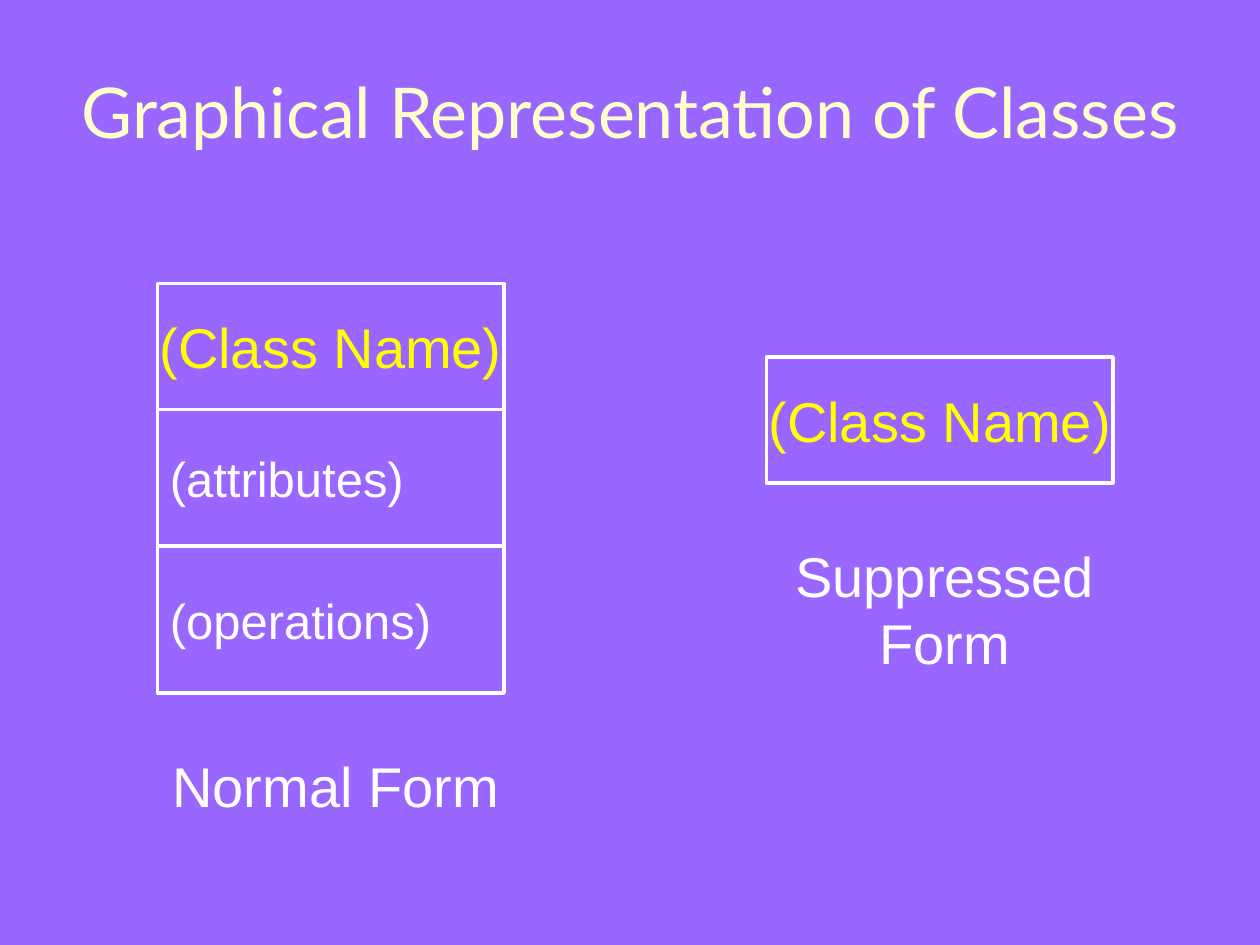
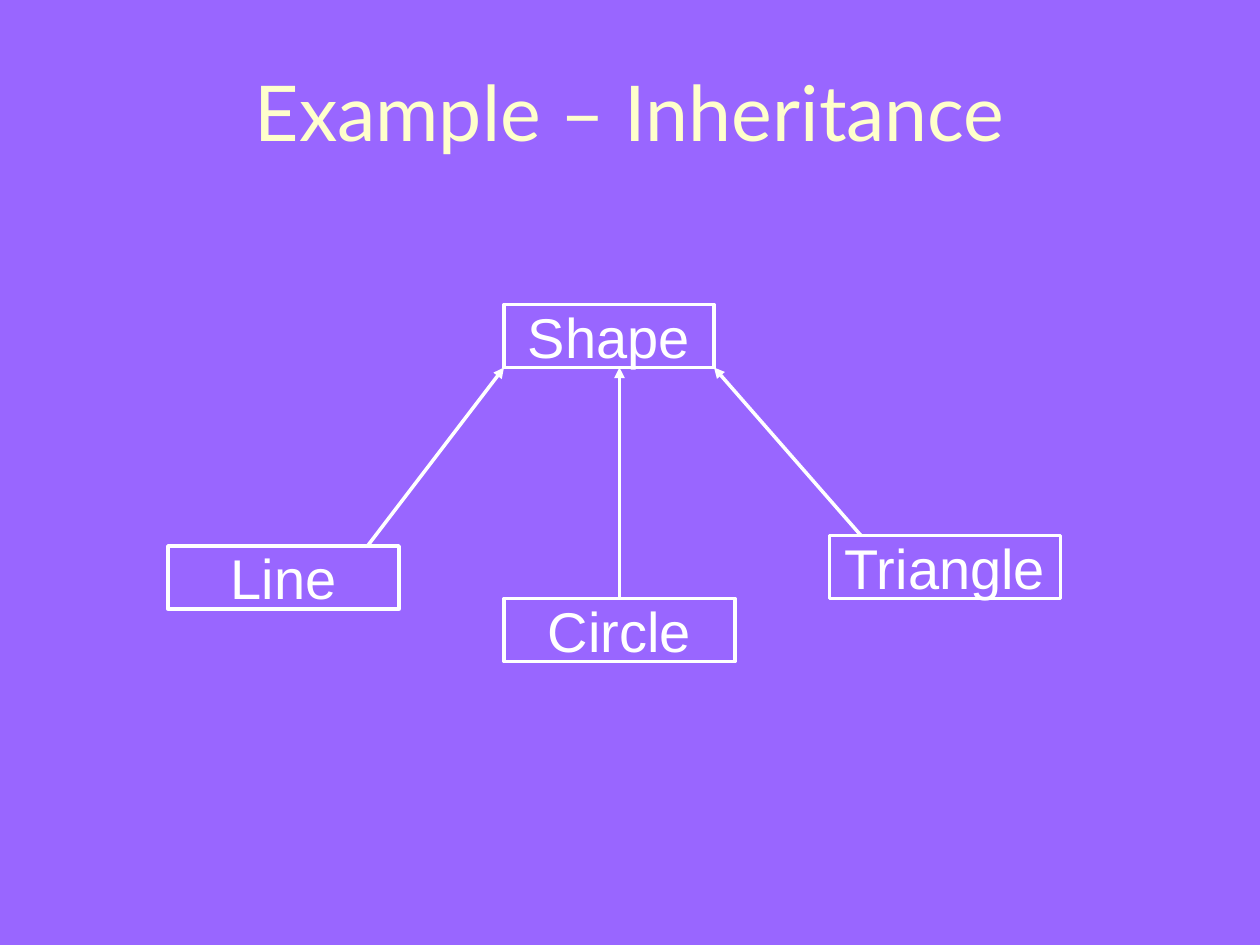
from lxml import etree
from pptx import Presentation
from pptx.dml.color import RGBColor
from pptx.enum import shapes, text
from pptx.oxml import ns
from pptx.util import Pt

PURPLE = RGBColor(0x99, 0x66, 0xFF)
CREAM = RGBColor(0xFF, 0xFF, 0xCC)
WHITE = RGBColor(0xFF, 0xFF, 0xFF)
YELLOW = RGBColor(0xFF, 0xFF, 0x00)
TITLE_FONT, BODY_FONT = "Lato", "Arial"
LEFT, CENTER = text.PP_ALIGN.LEFT, text.PP_ALIGN.CENTER
LINE_WIDTH = 2

CLASS_NAME = ("(Class Name)", 72, 32, YELLOW, CENTER)
CLASS_FORMS = [
    {
        "left": 90, "top": 162,
        "compartments": [
            CLASS_NAME,
            ("(attributes)", 78, 28, WHITE, LEFT),
            ("(operations)", 84, 28, WHITE, LEFT),
        ],
        "caption": ("Normal Form", 84, 426, 46),
    },
    {
        "left": 438, "top": 204,
        "compartments": [CLASS_NAME],
        "caption": ("Suppressed Form", 432, 306, 84),
    },
]
CLASS_WIDTH, CAPTION_WIDTH = 198, 216

PARENT = ("Shape", 288, 174, 120)
CHILDREN = [
    {"name": "Circle", "left": 288, "top": 342, "arrow_start": 66, "arrow_end": 66},
    {"name": "Triangle", "left": 474, "top": 306, "arrow_start": 18, "arrow_end": 120},
    {"name": "Line", "left": 96, "top": 312, "arrow_start": 114, "arrow_end": 0},
]
CHILD_WIDTH, NODE_HEIGHT = 132, 36


def place(shape, left, top, width, height):
    shape.left, shape.top = Pt(left), Pt(top)
    shape.width, shape.height = Pt(width), Pt(height)


def write(shape, words, size, color, font=BODY_FONT, align=CENTER):
    shape.text_frame.text = words
    paragraph = shape.text_frame.paragraphs[0]
    paragraph.alignment = align
    paragraph.font.name = font
    paragraph.font.size = Pt(size)
    paragraph.font.color.rgb = color


def add_titled_slide(presentation, title, size):
    slide = presentation.slides.add_slide(presentation.slide_layouts[5])
    shape = slide.shapes.title
    place(shape, 24, 18, 672, 90)
    write(shape, title, size, CREAM, TITLE_FONT)
    shape.text_frame.vertical_anchor = text.MSO_ANCHOR.MIDDLE
    return slide


def add_box(slide, words, left, top, width, height, size=32, color=WHITE, align=CENTER):
    shape = slide.shapes.add_shape(
        shapes.MSO_SHAPE.RECTANGLE, Pt(left), Pt(top), Pt(width), Pt(height))
    shape.shadow.inherit = False
    shape.fill.background()
    shape.line.color.rgb = WHITE
    shape.line.width = Pt(LINE_WIDTH)
    write(shape, words, size, color, align=align)
    shape.text_frame.word_wrap = False
    shape.text_frame.vertical_anchor = text.MSO_ANCHOR.MIDDLE


def add_caption(slide, words, left, top, height):
    shape = slide.shapes.add_textbox(Pt(left), Pt(top), Pt(CAPTION_WIDTH), Pt(height))
    write(shape, words, 32, WHITE)
    shape.text_frame.word_wrap = True
    shape.text_frame.auto_size = text.MSO_AUTO_SIZE.SHAPE_TO_FIT_TEXT


def add_arrow(slide, start, end):
    arrow = slide.shapes.add_connector(
        shapes.MSO_CONNECTOR.STRAIGHT, *map(Pt, start), *map(Pt, end))
    arrow.line.color.rgb = WHITE
    arrow.line.width = Pt(LINE_WIDTH)
    etree.SubElement(arrow.line._get_or_add_ln(), ns.qn("a:tailEnd"), type="triangle")
    etree.SubElement(arrow._element.spPr, ns.qn("a:effectLst"))


def build_class_slide(presentation):
    slide = add_titled_slide(presentation, "Graphical Representation of Classes", 40)
    for form in CLASS_FORMS:
        top = form["top"]
        for words, height, size, color, align in form["compartments"]:
            add_box(slide, words, form["left"], top, CLASS_WIDTH, height, size, color, align)
            top += height
        add_caption(slide, *form["caption"])


def build_inheritance_slide(presentation):
    slide = add_titled_slide(presentation, "Example – Inheritance", 44)
    name, left, top, width = PARENT
    add_box(slide, name, left, top, width, NODE_HEIGHT)
    for child in CHILDREN:
        add_box(slide, child["name"], child["left"], child["top"], CHILD_WIDTH, NODE_HEIGHT)
    for child in CHILDREN:
        start = (child["left"] + child["arrow_start"], child["top"])
        end = (left + child["arrow_end"], top + NODE_HEIGHT)
        add_arrow(slide, start, end)


def main():
    presentation = Presentation()
    presentation.slide_width, presentation.slide_height = Pt(720), Pt(540)
    background = presentation.slide_master.background.fill
    background.solid()
    background.fore_color.rgb = PURPLE
    build_class_slide(presentation)
    build_inheritance_slide(presentation)
    presentation.save("out.pptx")


if __name__ == "__main__":
    main()
